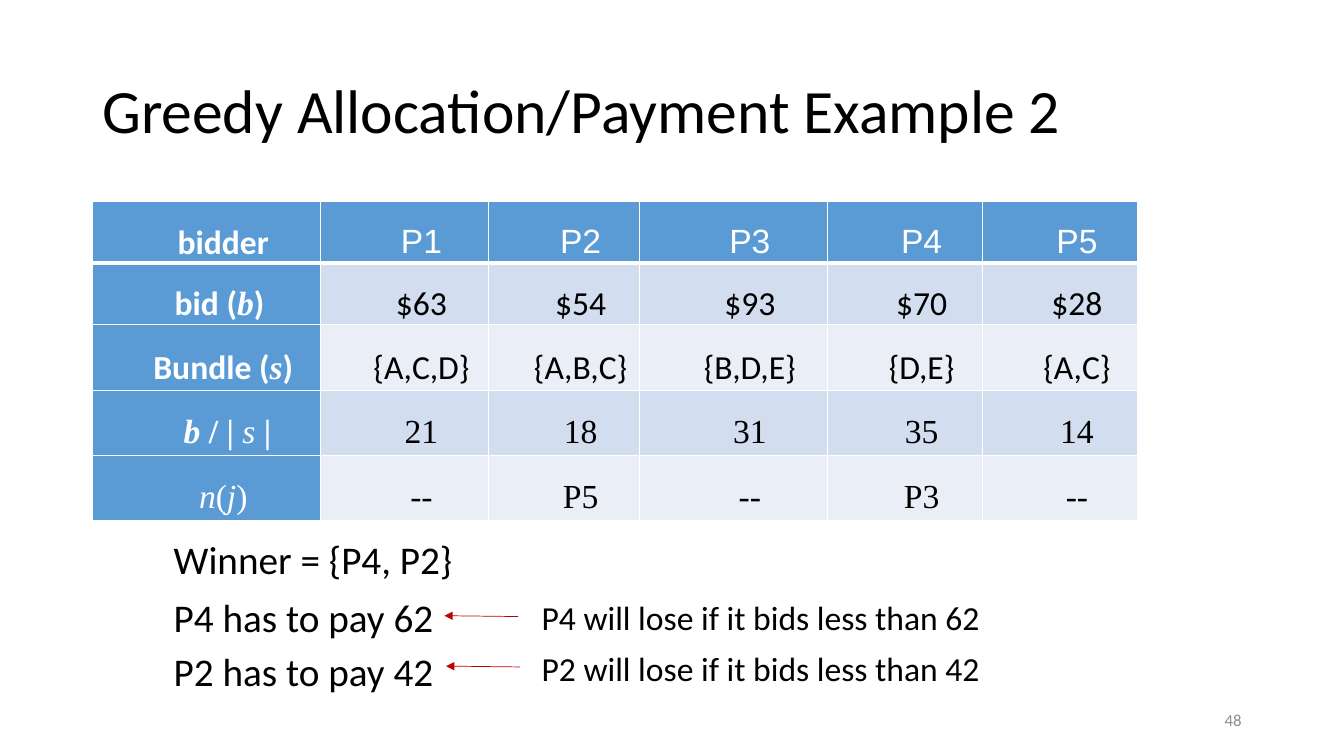
from dataclasses import dataclass

from lxml.etree import SubElement
from pptx import Presentation
from pptx.dml.color import RGBColor
from pptx.enum.shapes import MSO_CONNECTOR as Conn
from pptx.enum.text import MSO_ANCHOR as Anchor, MSO_AUTO_SIZE as Auto, PP_ALIGN as Align
from pptx.oxml.ns import qn
from pptx.util import Emu, Inches, Pt

CELL = 1 / 12  # the slide is a grid of 160 columns by 90 rows
COLORS = {
    "text": "000000", "white": "FFFFFF", "head": "5B9BD5", "band1": "D2DEEF",
    "band2": "EAEFF7", "arrow": "C00000", "number": "8C8C8C",
}
SANS, SERIF, ARIAL = "Calibri", "Times New Roman", "Arial"


@dataclass
class Run:
    text: str
    font: str = SANS
    bold: bool = False
    italic: bool = False


@dataclass
class Label:
    text: str
    col: float
    row: float
    cols: float
    rows: float
    size: float = 28
    color: str = "text"
    wrap: bool = False
    anchor: Anchor = Anchor.TOP
    align: Align = Align.LEFT
    spacing: float = 1.0


@dataclass
class Arrow:
    col1: float
    row1: float
    col2: float
    row2: float


@dataclass
class BidRow:
    height: float
    head: list[Run]
    values: list[str]
    font: str
    fill: str


def grid(n: float) -> Emu:
    return Inches(n * CELL)


def rgb(name: str) -> RGBColor:
    return RGBColor.from_string(COLORS[name])


def style(r, size: float, color: str, run: Run) -> None:
    r.font.size, r.font.name = Pt(size), run.font
    r.font.bold, r.font.italic = run.bold, run.italic
    r.font.color.rgb = rgb(color)


def draw_label(s, label: Label) -> None:
    sp = s.shapes.add_textbox(grid(label.col), grid(label.row), grid(label.cols), grid(label.rows))
    tf = sp.text_frame
    tf.text = label.text
    tf.word_wrap, tf.auto_size = label.wrap, Auto.NONE
    tf.vertical_anchor = label.anchor
    p = tf.paragraphs[0]
    p.alignment, p.line_spacing = label.align, label.spacing
    style(p.runs[0], label.size, label.color, Run(label.text))


def draw_arrow(s, arrow: Arrow) -> None:
    sp = s.shapes.add_connector(Conn.STRAIGHT, grid(arrow.col1), grid(arrow.row1),
                                grid(arrow.col2), grid(arrow.row2))
    sp.line.color.rgb, sp.line.width = rgb("arrow"), Pt(0.5)
    SubElement(sp.line._get_or_add_ln(), qn("a:tailEnd"), type="triangle")
    SubElement(sp._element.spPr, qn("a:effectLst"))


def draw_border(cell, side: str, width: float) -> None:
    ln = SubElement(cell._tc.get_or_add_tcPr(), qn(f"a:ln{side}"), w=str(Pt(width)))
    fill = SubElement(ln, qn("a:solidFill"))
    SubElement(fill, qn("a:srgbClr"), val=COLORS["white"])


def fill_cell(cell, runs: list[Run], color: str, fill: str, thick: dict[str, float]) -> None:
    for side in "LRTB":
        draw_border(cell, side, thick.get(side, 1))
    cell.fill.solid()
    cell.fill.fore_color.rgb = rgb(fill)
    cell.vertical_anchor = Anchor.MIDDLE
    cell.margin_left = cell.margin_right = Inches(0.07)
    cell.margin_top = cell.margin_bottom = 0
    p = cell.text_frame.paragraphs[0]
    p.alignment, p.line_spacing = Align.CENTER, 1.5
    pPr = p._p.get_or_add_pPr()
    pPr.set("marL", "0")
    pPr.set("indent", str(Inches(0.33)))
    for run in runs:
        r = p.add_run()
        r.text = run.text
        style(r, 24, color, run)


def draw_table(s, col: float, row: float, widths: list[float], bids: list[BidRow]) -> None:
    table = s.shapes.add_table(len(bids), len(widths), grid(col), grid(row), grid(sum(widths)),
                               grid(sum(b.height for b in bids))).table
    for column, width in zip(table.columns, widths):
        column.width = grid(width)
    for i, bid in enumerate(bids):
        table.rows[i].height = grid(bid.height)
        thick = {0: {"B": 3}, 1: {"T": 3}}.get(i, {})
        fill_cell(table.cell(i, 0), bid.head, "white", "head", thick)
        for j, value in enumerate(bid.values, 1):
            color = "white" if bid.fill == "head" else "text"
            fill_cell(table.cell(i, j), [Run(value, bid.font)], color, bid.fill, thick)


WIDTHS = [27.2, 20, 17.9, 22.4, 18.5, 18.5]
BIDS = [
    BidRow(6.6, [Run("bidder", bold=True)], ["P1", "P2", "P3", "P4", "P5"], ARIAL, "head"),
    BidRow(6.6, [Run("bid (", bold=True), Run("b", SERIF, True, True), Run(") ", bold=True)],
           ["$63", "$54", "$93", "$70", "$28"], SANS, "band1"),
    BidRow(7.8, [Run("Bundle (", bold=True), Run("s", SERIF, True, True), Run(")", bold=True)],
           ["{A,C,D}", "{A,B,C}", "{B,D,E}", "{D,E}", "{A,C}"], SANS, "band2"),
    BidRow(7.8, [Run(" ", SERIF, True), Run("b", SERIF, True, True), Run(" / | ", SERIF, True),
                 Run("s ", SERIF, italic=True), Run("|", SERIF, True)],
           ["21", "18", "31", "35", "14"], SERIF, "band1"),
    BidRow(7.8, [Run("n", SERIF, italic=True), Run("(", SERIF), Run("j", SERIF, italic=True),
                 Run(")", SERIF)],
           ["--", "P5", "--", "P3", "--"], SERIF, "band2"),
]
LABELS = [
    Label("Greedy Allocation/Payment Example 2", 11, 4.8, 138, 17.4, 44, wrap=True,
          anchor=Anchor.MIDDLE, spacing=0.9),
    Label("Winner = {P4, P2}", 19.5, 63.1, 36, 6.9),
    Label("P4 has to pay 62", 19.5, 70, 33.7, 6.9),
    Label("P2 has to pay 42", 19.5, 76.5, 33.7, 6.9),
    Label("P4 will lose if it bids less than 62", 63.3, 70.5, 63.1, 6, 24, wrap=True),
    Label("P2 will lose if it bids less than 42", 63.3, 76.5, 63.1, 6, 24, wrap=True),
    Label("48", 113, 83.3, 36, 4.8, 12, "number", True, Anchor.MIDDLE, Align.RIGHT),
]
ARROWS = [Arrow(61.7, 73.4, 52.9, 73.3), Arrow(61.9, 79.4, 53.1, 79.3)]


def main() -> None:
    prs = Presentation()
    prs.slide_width, prs.slide_height = grid(160), grid(90)
    s = prs.slides.add_slide(prs.slide_layouts[6])
    # Bids table
    draw_table(s, 11, 24, WIDTHS, BIDS)
    # Title, results and slide number
    for label in LABELS:
        draw_label(s, label)
    # Arrows from reasons to payments
    for arrow in ARROWS:
        draw_arrow(s, arrow)
    prs.save("out.pptx")


if __name__ == "__main__":
    main()
